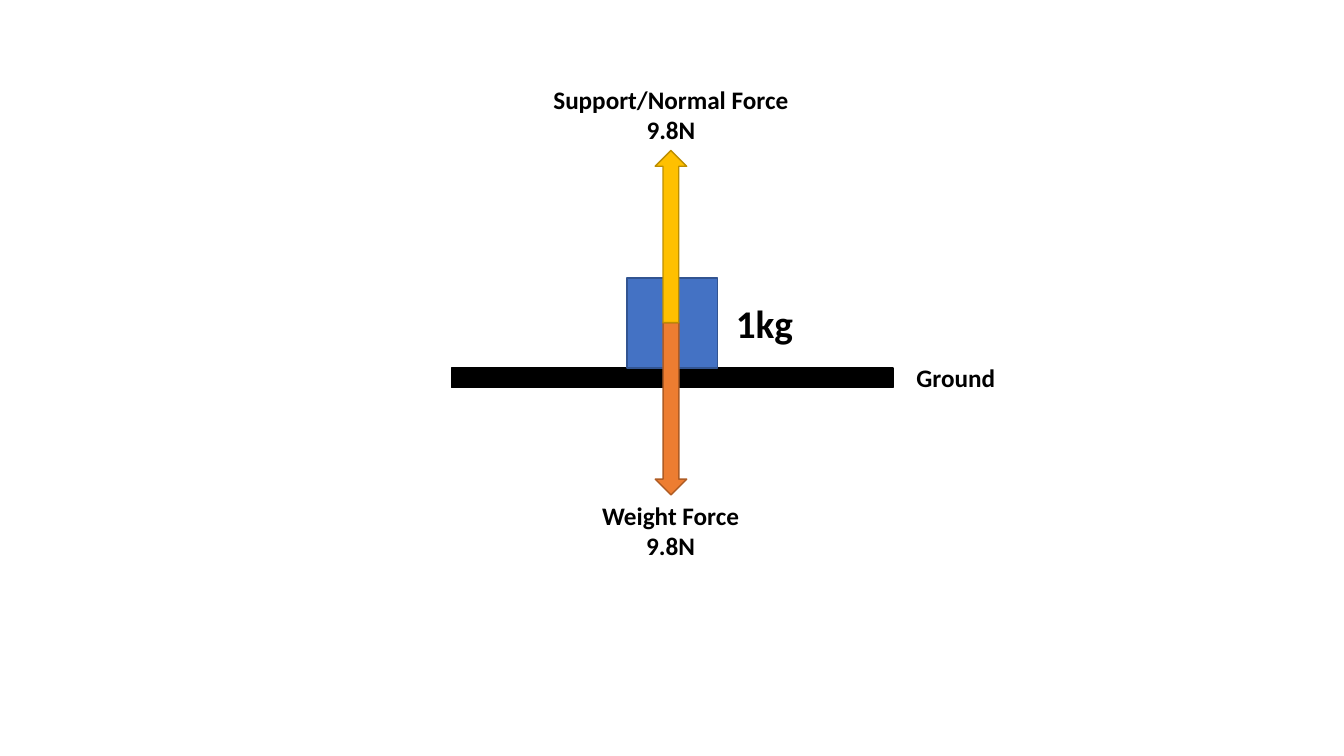
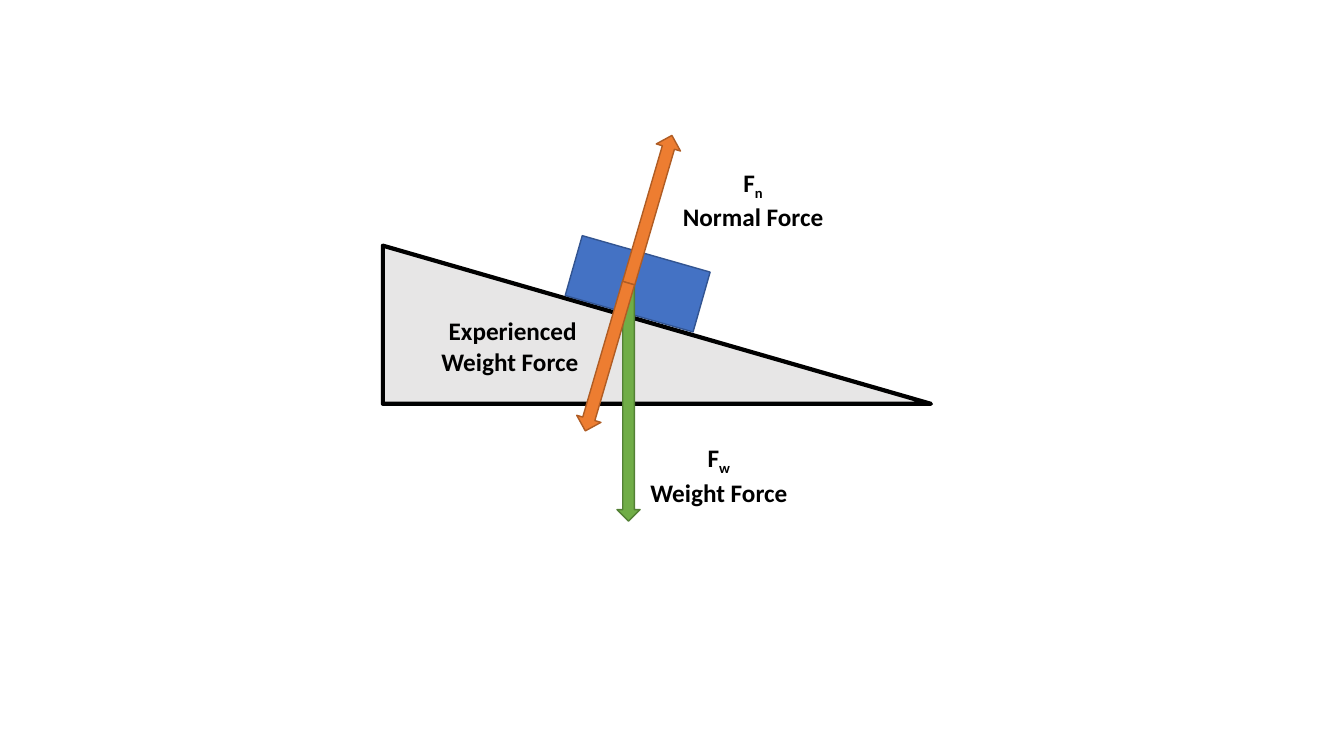
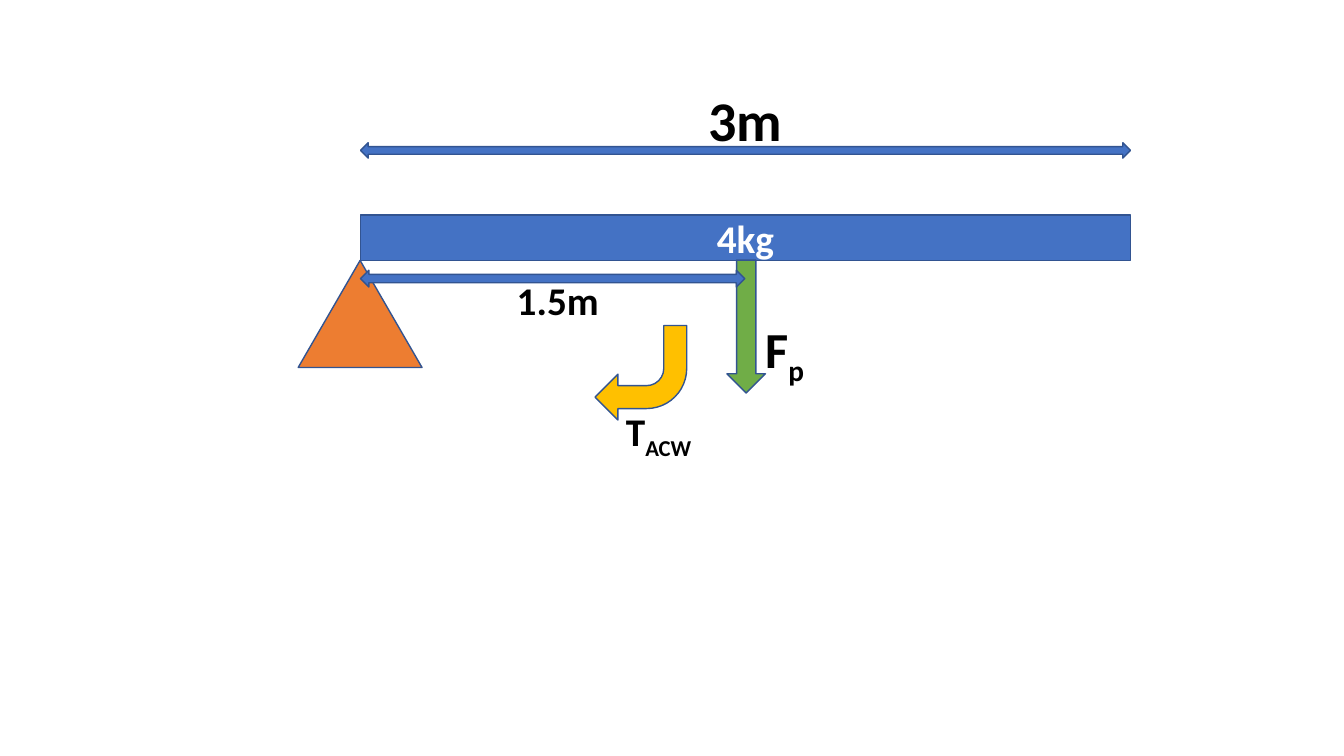
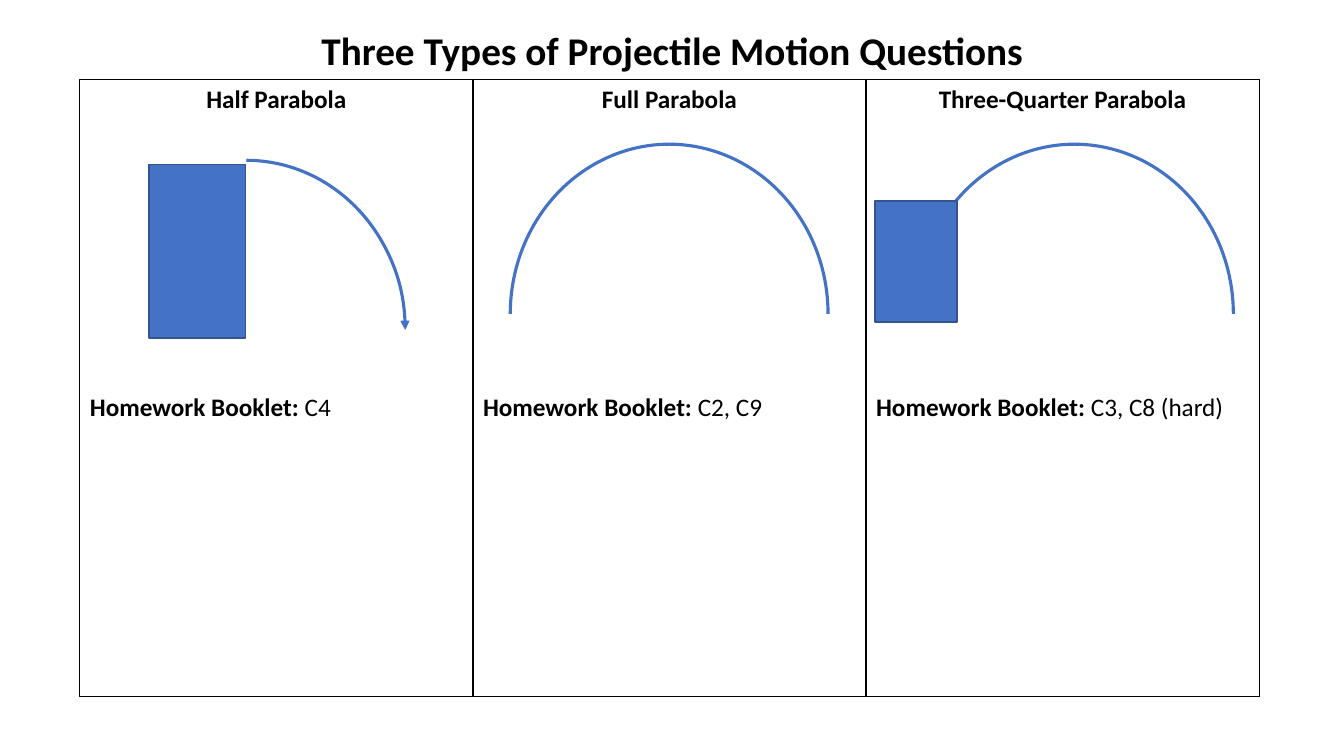
from lxml.etree import SubElement
from pptx import Presentation
from pptx.dml.color import RGBColor
from pptx.enum.shapes import MSO_SHAPE
from pptx.enum.text import MSO_ANCHOR, MSO_AUTO_SIZE, PP_ALIGN
from pptx.oxml.ns import qn
from pptx.util import Pt

FONT = "Calibri"
BLACK = RGBColor(0x00, 0x00, 0x00)
WHITE = RGBColor(0xFF, 0xFF, 0xFF)
GREY = RGBColor(0xE7, 0xE6, 0xE6)
BLUE = RGBColor(0x44, 0x72, 0xC4)
DARK_BLUE = RGBColor(0x32, 0x54, 0x91)
ORANGE = RGBColor(0xED, 0x7D, 0x31)
DARK_ORANGE = RGBColor(0xAF, 0x5C, 0x24)
GOLD = RGBColor(0xFF, 0xC0, 0x00)
DARK_GOLD = RGBColor(0xBD, 0x8E, 0x00)
GREEN = RGBColor(0x70, 0xAD, 0x47)
DARK_GREEN = RGBColor(0x53, 0x80, 0x35)


def add_part(slide, kind, box, fill, outline=DARK_BLUE, weight=1, rotation=0):
    part = slide.shapes.add_shape(kind, *map(Pt, box))
    part.shadow.inherit = False
    part.rotation = rotation
    if fill is None:
        part.fill.background()
    else:
        part.fill.solid()
        part.fill.fore_color.rgb = fill
    part.line.color.rgb = outline
    part.line.width = Pt(weight)
    return part


def add_label(slide, text, box, size=18, align=PP_ALIGN.LEFT, subscript=None):
    frame = slide.shapes.add_textbox(*map(Pt, box)).text_frame
    frame.text = text
    frame.word_wrap = False
    frame.auto_size = MSO_AUTO_SIZE.SHAPE_TO_FIT_TEXT
    if subscript:
        lowered = frame.paragraphs[0].add_run()
        lowered.text = subscript
        lowered.font._element.set("baseline", "-25000")
    for paragraph in frame.paragraphs:
        paragraph.alignment = align
        for run in paragraph.runs:
            run.font.name = FONT
            run.font.size = Pt(size)
            run.font.bold = True
            run.font.color.rgb = BLACK


prs = Presentation()
prs.slide_width = Pt(960)
prs.slide_height = Pt(540)
title_only, blank = prs.slide_layouts[5], prs.slide_layouts[6]

balance = prs.slides.add_slide(blank)
add_part(balance, MSO_SHAPE.RECTANGLE, (322.5, 263, 315.5, 14), BLACK, BLACK)
add_label(balance, "Ground", (647.5, 255.5, 71, 29))
add_part(balance, MSO_SHAPE.RECTANGLE, (448, 198.5, 64.5, 64.5), BLUE)
add_part(balance, MSO_SHAPE.UP_ARROW, (468, 230.5, 22.5, 123), ORANGE, DARK_ORANGE, rotation=180)
add_label(balance, "Weight Force\n9.8N", (422.5, 354, 113, 51), align=PP_ALIGN.CENTER)
add_part(balance, MSO_SHAPE.UP_ARROW, (468, 107.5, 22.5, 123), GOLD, DARK_GOLD)
add_label(balance, "Support/Normal Force\n9.8N", (387.5, 56.5, 183.5, 51), align=PP_ALIGN.CENTER)
add_label(balance, "1kg", (518.5, 210.5, 56, 41), 28)

incline = prs.slides.add_slide(blank)
add_part(incline, MSO_SHAPE.RIGHT_TRIANGLE, (273.5, 175.5, 391.5, 113), GREY, BLACK, 3)
add_part(incline, MSO_SHAPE.RECTANGLE, (408, 180.5, 95, 44.5), BLUE, rotation=15.9)
for box, fill, outline, rotation in (
    ((363, 278, 172, 16.5), GREEN, DARK_GREEN, 270),
    ((409.5, 140.5, 110, 18), ORANGE, DARK_ORANGE, 106.3),
    ((378.5, 246, 110, 18), ORANGE, DARK_ORANGE, 286.3),
):
    add_part(incline, MSO_SHAPE.LEFT_ARROW, box, fill, outline, rotation=rotation)
for text, box, subscript in (
    ("F\nNormal Force", (480, 116, 116, 51), "n"),
    ("F\nWeight Force", (457, 312.5, 113, 51), "w"),
    ("Experienced\nWeight Force ", (307.5, 222, 117.5, 51), None),
):
    add_label(incline, text, box, align=PP_ALIGN.CENTER, subscript=subscript)

torque = prs.slides.add_slide(blank)
beam = add_part(torque, MSO_SHAPE.RECTANGLE, (257.5, 153.5, 550, 32.5), BLUE)
beam.text_frame.text = "4kg"
beam.text_frame.vertical_anchor = MSO_ANCHOR.MIDDLE
mass = beam.text_frame.paragraphs[0]
mass.alignment = PP_ALIGN.CENTER
mass.runs[0].font.name = FONT
mass.runs[0].font.size = Pt(28)
mass.runs[0].font.bold = True
mass.runs[0].font.color.rgb = WHITE
for kind, box, fill, rotation in (
    (MSO_SHAPE.ISOSCELES_TRIANGLE, (213, 186, 88.5, 76.5), ORANGE, 0),
    (MSO_SHAPE.LEFT_RIGHT_ARROW, (257.5, 102, 550, 11), BLUE, 0),
    (MSO_SHAPE.RIGHT_ARROW, (485.5, 219.5, 95, 27.5), GREEN, 90),
    (MSO_SHAPE.BENT_ARROW, (425, 232.5, 65.5, 67.5), GOLD, 180),
    (MSO_SHAPE.LEFT_RIGHT_ARROW, (257.5, 193, 274.5, 12), BLUE, 0),
):
    add_part(torque, kind, box, fill, rotation=rotation)
add_label(torque, "3m", (499, 57.5, 67.5, 55.5), 40)
add_label(torque, "F", (539.5, 224, 44, 51), 36, subscript="p")
add_label(torque, "T", (440, 287.5, 65, 41), 28, subscript="ACW")
add_label(torque, "1.5m", (362, 193.5, 74, 41), 28)

projectile = prs.slides.add_slide(title_only)
title = projectile.shapes.title
title.left, title.top, title.width, title.height = map(Pt, (219, 15, 522, 41))
title.text_frame.text = "Three Types of Projectile Motion Questions"
title.text_frame.word_wrap = False
title.text_frame.auto_size = MSO_AUTO_SIZE.NONE
heading = title.text_frame.paragraphs[0].runs[0].font
heading.name = FONT
heading.size = Pt(28)
heading.bold = True
heading.color.rgb = BLACK

questions = (
    ("Half Parabola", " C4"),
    ("Full Parabola", " C2, C9"),
    ("Three-Quarter Parabola", " C3, C8 (hard)"),
)
table = projectile.shapes.add_table(1, 3, Pt(57), Pt(57), Pt(842.4), Pt(440.5)).table
table.first_row = False
table.horz_banding = False
for cell, (motion, exercises) in zip(table.rows[0].cells, questions):
    cell.text = motion + "\nHomework Booklet:"
    header, homework = cell.text_frame.paragraphs
    header.alignment = PP_ALIGN.CENTER
    homework.space_before = Pt(197.5)
    numbers = homework.add_run()
    numbers.text = exercises
    for run in (*header.runs, *homework.runs):
        run.font.name = FONT
        run.font.size = Pt(18)
        run.font.bold = True
        run.font.color.rgb = BLACK
    numbers.font.bold = False
    properties = cell._tc.get_or_add_tcPr()
    for side in ("a:lnL", "a:lnR", "a:lnT", "a:lnB"):
        border = SubElement(properties, qn(side), w="12700")
        border_fill = SubElement(border, qn("a:solidFill"))
        SubElement(border_fill, qn("a:srgbClr"), val=str(BLACK))
    cell.fill.background()

for left, top, start in ((62.5, 114.5, 270), (364.5, 103, 180), (654, 103, 180)):
    flight = add_part(projectile, MSO_SHAPE.ARC, (left, top, 227, 242.5), None, BLUE, 2.25)
    flight.adjustments[0] = start * 0.6
    flight.adjustments[1] = 0
    if start == 270:
        SubElement(flight.line._get_or_add_ln(), qn("a:tailEnd"), type="triangle")
for box in ((106.5, 117.5, 69, 124), (625, 143.5, 58.5, 86.5)):
    add_part(projectile, MSO_SHAPE.RECTANGLE, box, BLUE)

prs.save("out.pptx")
